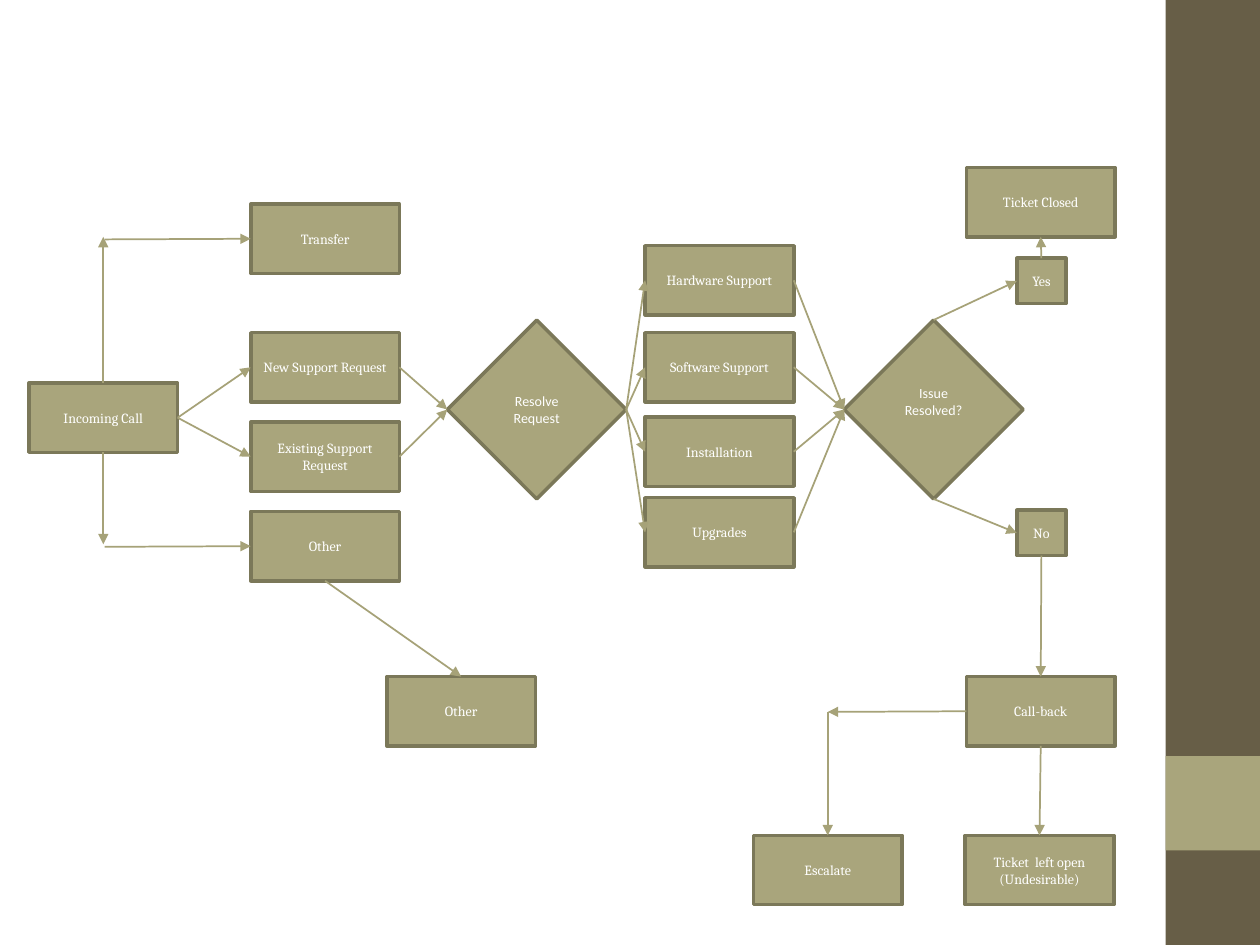
from dataclasses import dataclass

from lxml.etree import SubElement
from pptx import Presentation
from pptx.dml.color import RGBColor
from pptx.enum.shapes import MSO_CONNECTOR, MSO_SHAPE
from pptx.enum.text import MSO_ANCHOR, PP_ALIGN
from pptx.oxml.ns import qn
from pptx.util import Inches, Pt


@dataclass(frozen=True)
class Theme:
    """Colours, fonts and sizes of the slide."""
    sidebar: RGBColor = RGBColor(0x67, 0x5E, 0x47)
    fill: RGBColor = RGBColor(0xA9, 0xA5, 0x7C)
    outline: RGBColor = RGBColor(0x7B, 0x78, 0x59)
    arrow: RGBColor = RGBColor(0xA6, 0xA2, 0x78)
    text: RGBColor = RGBColor(0xFF, 0xFF, 0xFF)
    box_font: str = "Cambria"
    diamond_font: str = "Calibri"
    text_size: Pt = Pt(8)
    outline_width: Pt = Pt(2)
    arrow_width: Pt = Pt(1)


THEME = Theme()
BOX, ANSWER, DIAMOND = (1.18, 0.55), (0.39, 0.36), (1.42, 1.42)
TOP, LEFT, BOTTOM, RIGHT = range(4)

# key: (label, left, top)
BOXES = {
    "call": ("Incoming Call", 0.23, 3.04),
    "transfer": ("Transfer", 1.99, 1.62),
    "new": ("New Support Request", 1.99, 2.64),
    "existing": ("Existing Support Request", 1.99, 3.35),
    "other": ("Other", 1.99, 4.06),
    "other end": ("Other", 3.07, 5.37),
    "hardware": ("Hardware Support", 5.12, 1.95),
    "software": ("Software Support", 5.12, 2.64),
    "installation": ("Installation", 5.12, 3.31),
    "upgrades": ("Upgrades", 5.12, 3.95),
    "closed": ("Ticket Closed", 7.67, 1.33),
    "call-back": ("Call-back", 7.67, 5.37),
    "escalate": ("Escalate", 5.98, 6.63),
    "left open": ("Ticket  left open (Undesirable)", 7.66, 6.63),
}
ANSWERS = {"yes": ("Yes", 8.07, 2.05), "no": ("No", 8.07, 4.05)}
# key: (label, left, top, bottom inset)
DIAMONDS = {
    "resolve": ("Resolve Request", 3.55, 2.54, 0.05),
    "resolved": ("Issue Resolved?", 6.70, 2.54, 0.18),
}
SUPPORT = ("hardware", "software", "installation", "upgrades")

# Each end is either a (node, side) pair or a free (x, y) point
ARROWS = [
    (("call", TOP), (0.82, 1.88)),
    ((0.83, 1.90), ("transfer", LEFT)),
    (("call", BOTTOM), (0.82, 4.32)),
    ((0.83, 4.34), ("other", LEFT)),
    (("other", BOTTOM), ("other end", TOP)),
    *[(("call", RIGHT), (request, LEFT)) for request in ("new", "existing")],
    *[((request, RIGHT), ("resolve", LEFT)) for request in ("new", "existing")],
    *[(("resolve", RIGHT), (kind, LEFT)) for kind in SUPPORT],
    *[((kind, RIGHT), ("resolved", LEFT)) for kind in SUPPORT],
    (("resolved", TOP), ("yes", LEFT)),
    (("resolved", BOTTOM), ("no", LEFT)),
    (("yes", TOP), ("closed", BOTTOM)),
    (("no", BOTTOM), ("call-back", TOP)),
    (("call-back", LEFT), (6.57, 5.65)),
    ((6.57, 5.65), ("escalate", TOP)),
    (("call-back", BOTTOM), ("left open", TOP)),
]


def set_format(target, values):
    """Set every attribute in the dict on the target."""
    for name, value in values.items():
        setattr(target, name, value)


def add_filled_shape(slide, kind, position, size, color):
    """Add a flat preset shape with a solid fill and no outline."""
    shape = slide.shapes.add_shape(
        kind, *[Inches(length) for length in (*position, *size)])
    shape.shadow.inherit = False
    shape.fill.solid()
    shape.fill.fore_color.rgb = color
    shape.line.fill.background()
    return shape


def add_node(slide, kind, label, position, size, font, bottom_inset=0.05):
    """Add an outlined flowchart node with a centred label."""
    shape = add_filled_shape(slide, kind, position, size, THEME.fill)
    shape.line.color.rgb = THEME.outline
    shape.line.width = THEME.outline_width
    frame = shape.text_frame
    set_format(frame, {
        "word_wrap": True, "vertical_anchor": MSO_ANCHOR.MIDDLE,
        "margin_left": Inches(0.05), "margin_right": Inches(0.05),
        "margin_top": Inches(0.05), "margin_bottom": Inches(bottom_inset)})
    paragraph = frame.paragraphs[0]
    paragraph.alignment = PP_ALIGN.CENTER
    run = paragraph.add_run()
    run.text = label
    set_format(run.font, {"name": font, "size": THEME.text_size})
    run.font.color.rgb = THEME.text
    return shape


def add_arrow(slide, nodes, start, end):
    """Add a straight arrow, glued to a node wherever an end names one."""
    points = [(0, 0) if point[0] in nodes else point for point in (start, end)]
    connector = slide.shapes.add_connector(
        MSO_CONNECTOR.STRAIGHT,
        *[Inches(length) for point in points for length in point])
    for point, connect in ((start, connector.begin_connect),
                           (end, connector.end_connect)):
        if point[0] in nodes:
            connect(nodes[point[0]], point[1])
    connector.line.color.rgb = THEME.arrow
    connector.line.width = THEME.arrow_width
    properties = connector.element.spPr
    SubElement(properties.find(qn("a:ln")), qn("a:tailEnd"), type="triangle")
    SubElement(properties, qn("a:effectLst"))


def add_sidebar(slide):
    """Add the dark band on the right and its light square."""
    for top, height, color in ((0, 7.5, THEME.sidebar), (6, 0.75, THEME.fill)):
        add_filled_shape(slide, MSO_SHAPE.RECTANGLE, (9.25, top),
                         (0.75, height), color)


def add_nodes(slide):
    """Add all flowchart nodes and return them by key."""
    nodes = {}
    for group, size in ((BOXES, BOX), (ANSWERS, ANSWER)):
        for key, (label, *position) in group.items():
            nodes[key] = add_node(slide, MSO_SHAPE.RECTANGLE, label, position,
                                  size, THEME.box_font)
    for key, (label, left, top, inset) in DIAMONDS.items():
        nodes[key] = add_node(slide, MSO_SHAPE.DIAMOND, label, (left, top),
                              DIAMOND, THEME.diamond_font, inset)
    return nodes


def main():
    """Build the support call flowchart and save it."""
    presentation = Presentation()
    presentation.slide_width = Inches(10)
    presentation.slide_height = Inches(7.5)
    slide = presentation.slides.add_slide(presentation.slide_layouts[6])
    add_sidebar(slide)
    nodes = add_nodes(slide)
    for start, end in ARROWS:
        add_arrow(slide, nodes, start, end)
    presentation.save("out.pptx")


main()
